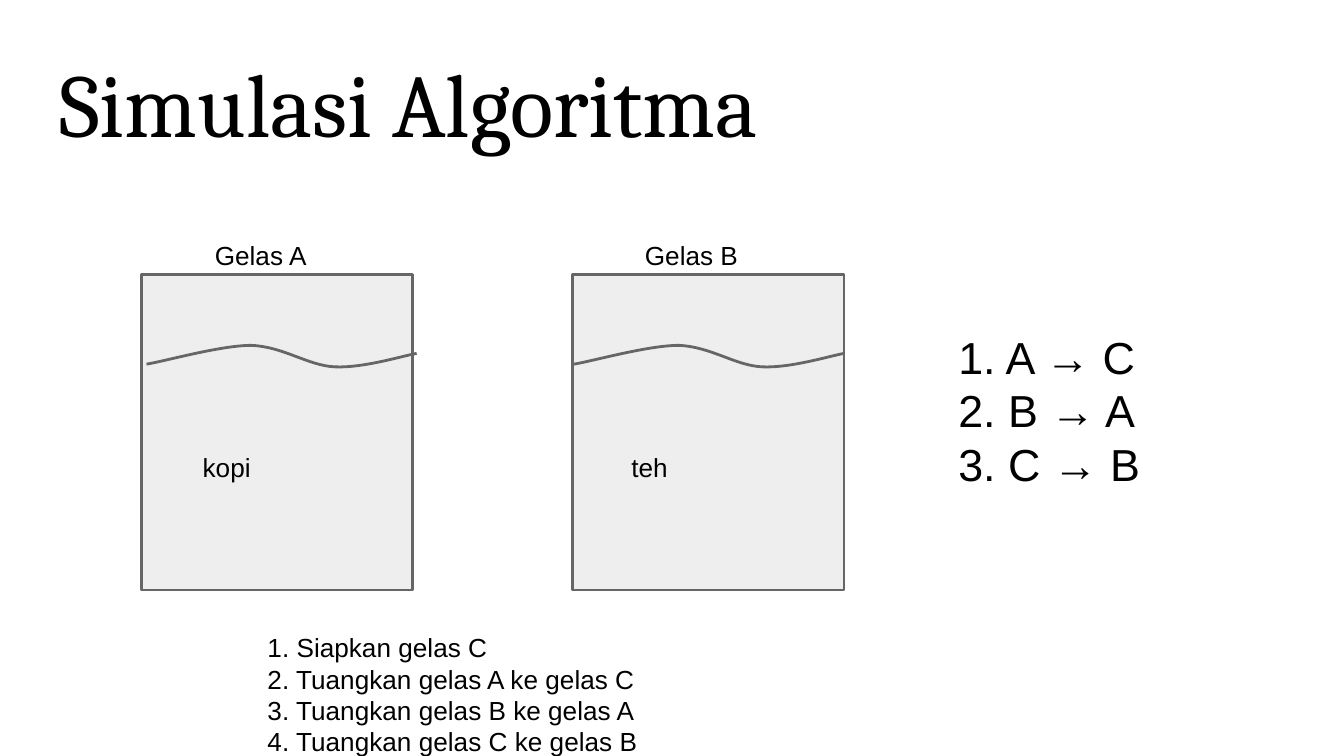
from dataclasses import dataclass

from lxml.etree import SubElement
from pptx import Presentation
from pptx.dml.color import RGBColor as RGB
from pptx.enum.shapes import MSO_SHAPE as Shape
from pptx.enum.text import MSO_ANCHOR as Anchor, MSO_AUTO_SIZE as AutoSize, PP_ALIGN as Align
from pptx.oxml.ns import qn
from pptx.slide import Slide
from pptx.text.text import TextFrame
from pptx.util import Inches, Pt


@dataclass(frozen=True)
class Theme:
    text: RGB = RGB(0x00, 0x00, 0x00)
    glass: RGB = RGB(0xEE, 0xEE, 0xEE)
    outline: RGB = RGB(0x66, 0x66, 0x66)
    title_font: str = "Cambria"
    body_font: str = "Arial"
    title_size: int = 48
    large_size: int = 24
    small_size: int = 14
    line_width: float = 1.5
    inset: float = 0.1


@dataclass(frozen=True)
class Box:
    left: float
    top: float
    width: float
    height: float

    def emu(self) -> tuple:
        return tuple(Inches(v) for v in (self.left, self.top, self.width, self.height))


@dataclass(frozen=True)
class Glass:
    name: str
    drink: str
    left: float
    name_left: float
    drink_left: float
    wave_left: float


THEME = Theme()
GLASSES = (
    Glass("Gelas A", "kopi", 1.05, 1.5, 1.41, 1.09),
    Glass("Gelas B", "teh", 4.26, 4.7, 4.6, 4.27),
)
WAVE_TOP = 2.57
# Start point, then two control points and an end point for each curve
WAVE = (
    (0, 0.14),
    (0.13, 0.12), (0.55, 0), (0.78, 0),
    (1.02, 0.01), (1.2, 0.15), (1.4, 0.16),
    (1.61, 0.17), (1.9, 0.08), (2.01, 0.06),
)
STEPS = (
    "1. Siapkan gelas C",
    "2. Tuangkan gelas A ke gelas C",
    "3. Tuangkan gelas B ke gelas A",
    "4. Tuangkan gelas C ke gelas B",
)
MOVES = ("1. A → C", "2. B → A", "3. C → B")


def write(tf: TextFrame, lines: tuple, size: int, font: str = THEME.body_font,
          anchor: Anchor = Anchor.TOP) -> None:
    tf.text = "\n".join(lines)
    tf.word_wrap = True
    tf.auto_size = AutoSize.NONE
    tf.vertical_anchor = anchor
    tf.margin_left = tf.margin_right = tf.margin_top = tf.margin_bottom = Inches(THEME.inset)
    for p in tf.paragraphs:
        p.alignment = Align.LEFT
        p.space_before = Pt(0)
        for r in p.runs:
            r.font.size, r.font.name = Pt(size), font
            r.font.color.rgb = THEME.text


def place(sp, box: Box) -> None:
    sp.left, sp.top, sp.width, sp.height = box.emu()


def fill_list(sp, box: Box, lines: tuple, size: int) -> None:
    """Fill a body placeholder, without the template's bullets and indents."""
    place(sp, box)
    write(sp.text_frame, lines, size)
    for p in sp.text_frame.paragraphs:
        pPr = p._p.get_or_add_pPr()
        pPr.set("marL", "0")
        pPr.set("indent", "0")
        SubElement(pPr, qn("a:buNone"))


def add_label(slide: Slide, box: Box, text: str) -> None:
    write(slide.shapes.add_textbox(*box.emu()).text_frame, (text,), THEME.small_size)


def outline(sp) -> None:
    sp.shadow.inherit = False
    sp.line.color.rgb = THEME.outline
    sp.line.width = Pt(THEME.line_width)


def add_wave(slide: Slide, left: float) -> None:
    """Draw the liquid surface, joining each three segments into a Bézier curve."""
    points = [(Inches(left + x), Inches(WAVE_TOP + y)) for x, y in WAVE]
    builder = slide.shapes.build_freeform(*points[0])
    builder.add_line_segments(points[1:], close=False)
    sp = builder.convert_to_shape()
    segments = list(sp._element.iter(qn("a:lnTo")))
    for i in range(0, len(segments), 3):
        curve = SubElement(segments[i].getparent(), qn("a:cubicBezTo"))
        for segment in segments[i:i + 3]:
            curve.append(segment[0])
            segment.getparent().remove(segment)
    sp.fill.background()
    outline(sp)


def add_glass(slide: Slide, glass: Glass) -> None:
    sp = slide.shapes.add_shape(Shape.RECTANGLE, *Box(glass.left, 2.04, 2.02, 2.35).emu())
    sp.fill.solid()
    sp.fill.fore_color.rgb = THEME.glass
    outline(sp)
    add_wave(slide, glass.wave_left)
    add_label(slide, Box(glass.drink_left, 3.26, 1.33, 0.38), glass.drink)
    add_label(slide, Box(glass.name_left, 1.68, 1.13, 0.38), glass.name)


def main() -> None:
    prs = Presentation()
    prs.slide_width = Inches(10)
    prs.slide_height = prs.slide_width * 9 // 16
    slide = prs.slides.add_slide(prs.slide_layouts.get_by_name("Two Content"))
    title, steps, moves = list(slide.placeholders)[:3]

    place(title, Box(0.34, 0.32, 9.32, 0.88))
    write(title.text_frame, ("Simulasi Algoritma",), THEME.title_size,
          THEME.title_font, Anchor.MIDDLE)
    for glass in GLASSES:
        add_glass(slide, glass)
    fill_list(steps, Box(1.89, 4.6, 7.14, 0.53), STEPS, THEME.small_size)
    fill_list(moves, Box(7.03, 2.35, 2.68, 1.53), MOVES, THEME.large_size)
    prs.save("out.pptx")


if __name__ == "__main__":
    main()
